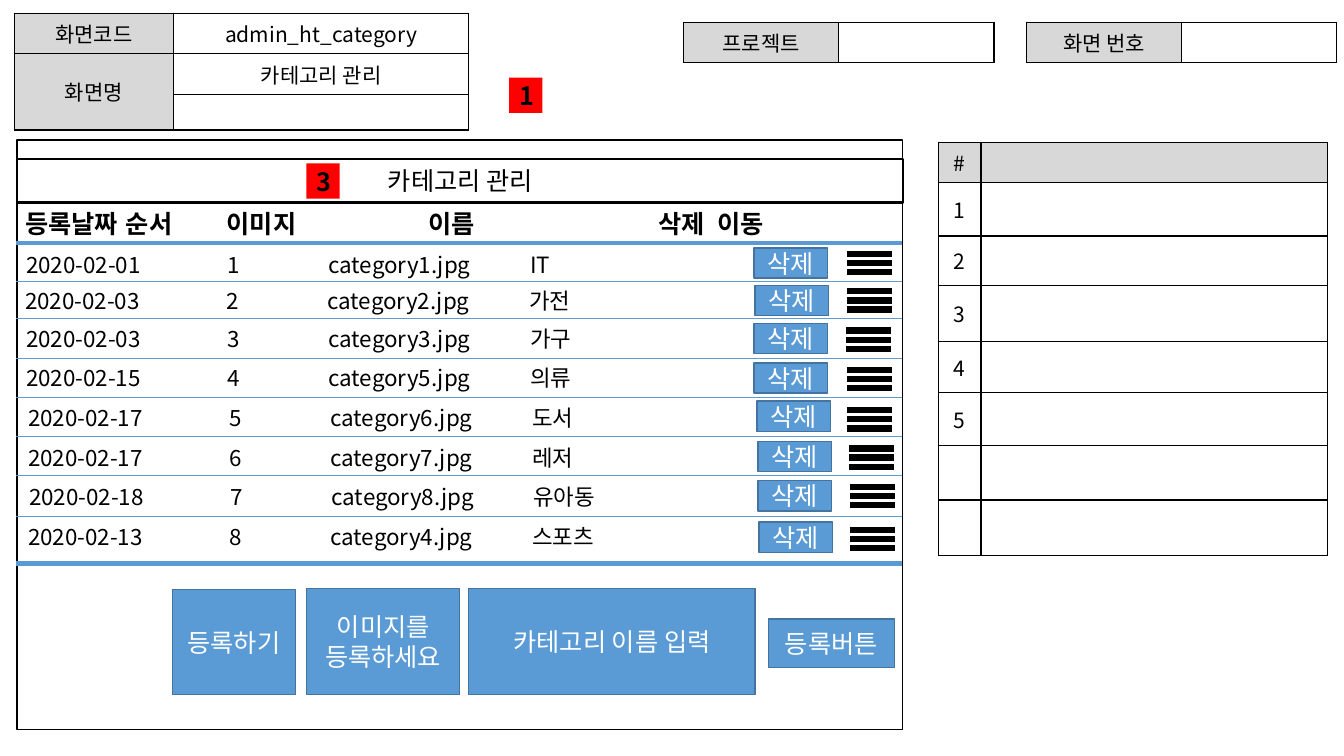
from dataclasses import dataclass
from typing import Optional

from lxml.etree import SubElement
from pptx import Presentation
from pptx.dml.color import RGBColor
from pptx.enum.shapes import MSO_CONNECTOR as Connector, MSO_SHAPE as Preset
from pptx.enum.text import MSO_ANCHOR as Anchor, PP_ALIGN as Align
from pptx.oxml.ns import qn
from pptx.util import Pt

PX = 9144  # 100 px to the inch
FONT = "Noto Sans CJK KR"
COLORS = {
    "black": "000000", "white": "FFFFFF", "grey": "D8D8D8",
    "red": "FF0000", "blue": "5B9BD5", "navy": "43739E",
}
HEADER_STOPS = (100, 200, 400, 628, 687)
ROW_STOPS = (200, 300, 500)


@dataclass(frozen=True)
class Grid:
    left: int
    top: int
    widths: tuple[int, ...]
    heights: tuple[int, ...]
    texts: tuple[tuple[str, ...], ...]
    grey_columns: int = 0
    grey_rows: int = 0
    merge: Optional[tuple[int, int, int, int]] = None


@dataclass(frozen=True)
class Category:
    date: str
    image: str
    name: str
    left: int
    top: int
    button_left: int
    button_top: int
    handle_left: int
    handle_top: int


@dataclass(frozen=True)
class Button:
    text: str
    left: int
    top: int
    width: int
    height: int


GRIDS = (
    Grid(14, 13, (158, 293), (30, 30, 30),
         (("화면코드", "admin_ht_category"), ("화면명", "카테고리 관리"), ("", "")),
         grey_columns=1, merge=(1, 0, 2, 0)),
    Grid(1018, 22, (154, 154), (29,), (("화면 번호", ""),), grey_columns=1),
    Grid(678, 22, (154, 154), (29,), (("프로젝트", ""),), grey_columns=1),
    Grid(931, 141, (42, 344), (36, 53, 49, 56, 50, 53, 54, 55),
         tuple((label, "") for label in ("#", "1", "2", "3", "4", "5", "", "")),
         grey_rows=1),
)
CATEGORIES = (
    Category("2020-02-01", "category1.jpg", "IT", 16, 245, 748, 246, 840, 252),
    Category("2020-02-03", "category2.jpg", "가전", 15, 281, 749, 283, 840, 289),
    Category("2020-02-03", "category3.jpg", "가구", 16, 319, 748, 321, 839, 328),
    Category("2020-02-15", "category5.jpg", "의류", 16, 358, 748, 360, 840, 367),
    Category("2020-02-17", "category6.jpg", "도서", 18, 397, 751, 398, 840, 407),
    Category("2020-02-17", "category7.jpg", "레저", 18, 437, 752, 438, 842, 445),
    Category("2020-02-18", "category8.jpg", "유아동", 19, 476, 752, 477, 843, 483),
    Category("2020-02-13", "category4.jpg", "스포츠", 18, 515, 753, 518, 843, 526),
)
ROW_RULES = (279, 316, 356, 394, 433, 472, 512)
BUTTONS = (
    Button("등록하기", 171, 585, 122, 104),
    Button("이미지를 등록하세요", 304, 584, 152, 105),
    Button("카테고리 이름 입력", 465, 584, 284, 105),
    Button("등록버튼", 762, 614, 125, 48),
)


def rgb(color: str) -> RGBColor:
    return RGBColor.from_string(COLORS[color])


def write(frame, text: str, *, size: int = 18, color: str = "black",
          bold: bool = False, align=Align.CENTER, stops: tuple[int, ...] = ()) -> None:
    para = frame.paragraphs[0]
    para.alignment = align
    if stops:
        tabs = SubElement(para._p.get_or_add_pPr(), qn("a:tabLst"))
        for stop in stops:
            SubElement(tabs, qn("a:tab"), pos=str(stop * PX), algn="l")
    if not text:
        SubElement(para._p, qn("a:endParaRPr"), sz=str(size * 100))
        return
    span = para.add_run()
    span.text = text
    span.font.size = Pt(size)
    span.font.bold = bold
    span.font.color.rgb = rgb(color)
    span.font.name = FONT
    SubElement(span._r.get_or_add_rPr(), qn("a:ea"), typeface=FONT)


def add_box(page, left: int, top: int, width: int, height: int, text: str = "", *,
            fill: Optional[str] = None, line: Optional[str] = None,
            weight: float = 1, **text_format) -> None:
    box = page.shapes.add_shape(
        Preset.RECTANGLE, left * PX, top * PX, width * PX, height * PX)
    box.shadow.inherit = False
    if fill:
        box.fill.solid()
        box.fill.fore_color.rgb = rgb(fill)
    else:
        box.fill.background()
    if line:
        box.line.color.rgb = rgb(line)
        box.line.width = Pt(weight)
    else:
        box.line.fill.background()
    if text:
        box.text_frame.vertical_anchor = Anchor.MIDDLE
        write(box.text_frame, text, **text_format)


def add_label(page, left: int, top: int, text: str, **text_format) -> None:
    """Add one full-width line of the category list."""
    box = page.shapes.add_textbox(left * PX, top * PX, 879 * PX, 34 * PX)
    box.text_frame.word_wrap = True
    box.text_frame.vertical_anchor = Anchor.MIDDLE
    write(box.text_frame, text, align=Align.LEFT, **text_format)


def add_rule(page, left: int, right: int, y: int, color: str, weight: float) -> None:
    rule = page.shapes.add_connector(
        Connector.STRAIGHT, left * PX, y * PX, right * PX, y * PX)
    rule.line.color.rgb = rgb(color)
    rule.line.width = Pt(weight)
    SubElement(rule._element.spPr, qn("a:effectLst"))


def style_cell(cell, fill: str) -> None:
    properties = cell._tc.get_or_add_tcPr()
    for side in ("lnL", "lnR", "lnT", "lnB"):
        border = SubElement(properties, qn(f"a:{side}"), w=str(Pt(1)))
        solid = SubElement(border, qn("a:solidFill"))
        SubElement(solid, qn("a:srgbClr"), val=COLORS["black"])
    cell.fill.solid()
    cell.fill.fore_color.rgb = rgb(fill)
    cell.vertical_anchor = Anchor.MIDDLE


def add_grid(page, grid: Grid) -> None:
    table = page.shapes.add_table(
        len(grid.heights), len(grid.widths), grid.left * PX, grid.top * PX,
        sum(grid.widths) * PX, sum(grid.heights) * PX).table
    for column, width in zip(table.columns, grid.widths):
        column.width = width * PX
    for row, height in zip(table.rows, grid.heights):
        row.height = height * PX
    for r, texts in enumerate(grid.texts):
        for c, text in enumerate(texts):
            is_grey = r < grid.grey_rows or c < grid.grey_columns
            cell = table.cell(r, c)
            style_cell(cell, "grey" if is_grey else "white")
            write(cell.text_frame, text, size=15)
    if grid.merge:
        top, left, bottom, right = grid.merge
        table.cell(top, left).merge(table.cell(bottom, right))


def add_button(page, button: Button) -> None:
    add_box(page, button.left, button.top, button.width, button.height, button.text,
            fill="blue", line="navy", color="white")


def add_category(page, order: int, item: Category) -> None:
    add_label(page, item.left, item.top,
              f"{item.date}\t{order}\t{item.image}\t{item.name}",
              size=16, stops=ROW_STOPS)
    for bar in range(3):
        add_rule(page, item.handle_left, item.handle_left + 45,
                 item.handle_top + 9 * bar, "black", 4.5)
    add_button(page, Button("삭제", item.button_left, item.button_top, 73, 30))


def main() -> None:
    deck = Presentation()
    deck.slide_width, deck.slide_height = 1333 * PX, 750 * PX
    page = deck.slides.add_slide(deck.slide_layouts[6])

    for grid in GRIDS:
        add_grid(page, grid)
    add_box(page, 17, 139, 878, 585, line="black")
    add_box(page, 17, 158, 879, 43, "카테고리 관리", line="black", weight=1.5)
    for number, left, top in (("1", 505, 77), ("3", 304, 162)):
        add_box(page, left, top, 33, 35, number, fill="red", bold=True)

    add_label(page, 15, 205, "등록날짜\t순서\t이미지\t이름\t삭제\t이동",
              bold=True, stops=HEADER_STOPS)
    for y in (241, 559):
        add_rule(page, 16, 895, y, "blue", 3)
    for y in ROW_RULES:
        add_rule(page, 16, 895, y, "blue", 0.75)
    for order, item in enumerate(CATEGORIES, start=1):
        add_category(page, order, item)
    for button in BUTTONS:
        add_button(page, button)
    deck.save("out.pptx")


if __name__ == "__main__":
    main()
